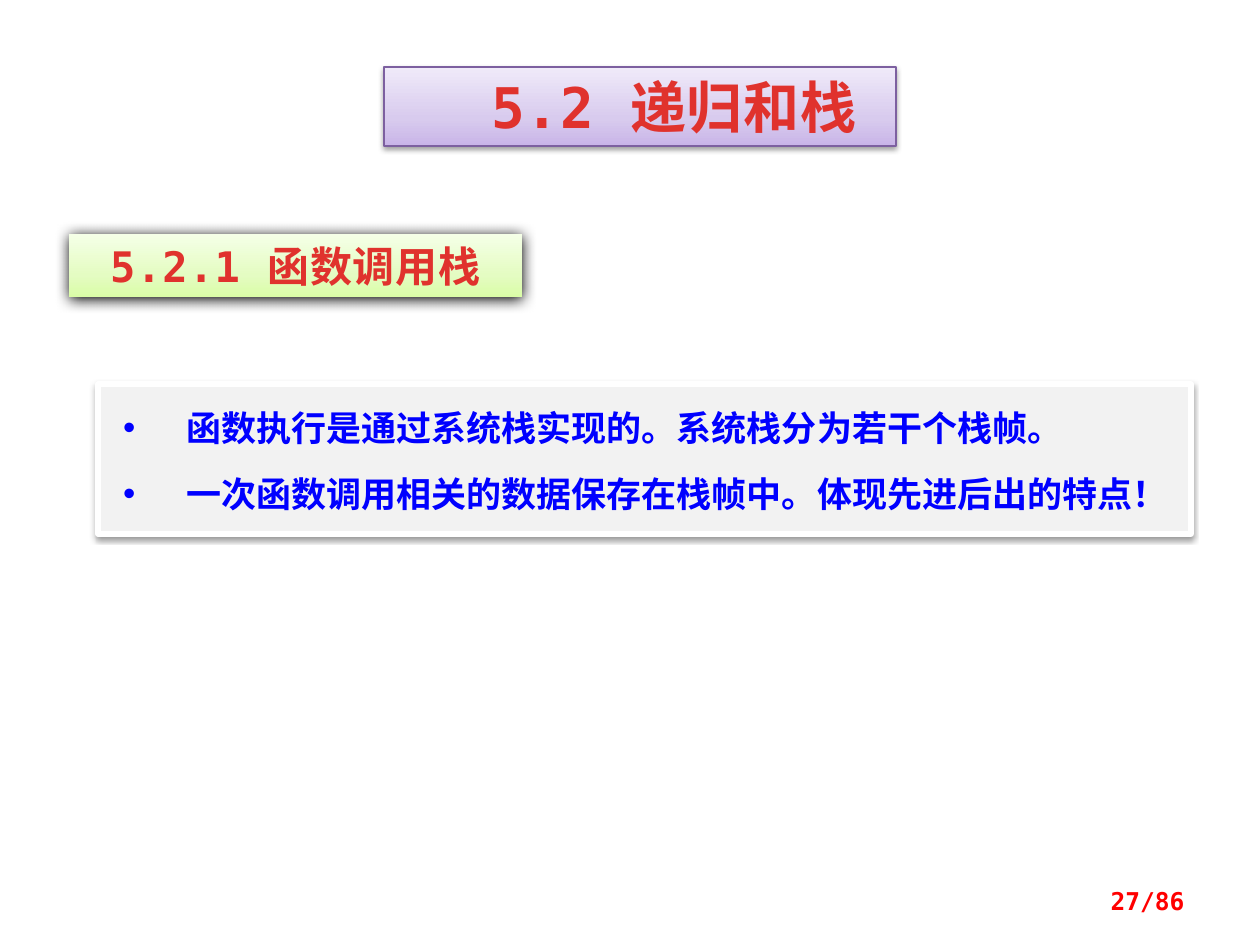
"""Build the slide on recursion and the function call stack."""
from lxml import etree
from pptx import Presentation
from pptx import util as u
from pptx.dml.color import RGBColor
from pptx.enum import shapes, text
from pptx.oxml.ns import qn

PX = u.Inches(1) // 126
COLORS = {
    "heading": "E0322D", "body": "0000FF", "page": "FF0000",
    "panel": "F2F2F2", "panel_edge": "FFFFFF", "title_edge": "7D60A0",
    "shadow": "000000",
}
LILAC = [(0, "C9B5E8"), (35, "D8CBEE"), (100, "F0EAF9")]
LIME = [(0, "DAFDA7"), (35, "E4FCC2"), (100, "F5FFE7")]
SOFT_SHADOW = (38, 3.1, 1.6)
STRONG_SHADOW = (100, 8.5, 1)


class SlideBuilder:
    """Holds the font and the current slide."""

    def __init__(self, slide, font="DejaVu Sans Mono"):
        self.slide = slide
        self.font = font

    def place(self, shape, left, top, width, height):
        shape.left, shape.top = left * PX, top * PX
        shape.width, shape.height = width * PX, height * PX

    def style(self, paragraph, size, color, spacing=0):
        font = paragraph.font
        font.name, font.size, font.bold = self.font, u.Pt(size), True
        font.color.rgb = RGBColor.from_string(COLORS[color])
        if spacing:
            properties = paragraph._p.get_or_add_pPr().find(qn("a:defRPr"))
            properties.set("spc", str(int(spacing * 100)))

    def gradient(self, shape, stops):
        shape.fill.gradient()
        shape.fill.gradient_angle = 90
        stop_list = shape._element.spPr.find(".//" + qn("a:gsLst"))
        stop_list[:] = []
        for position, color in stops:
            stop = etree.SubElement(stop_list, qn("a:gs"), pos=str(position * 1000))
            etree.SubElement(stop, qn("a:srgbClr"), val=color)

    def outline(self, shape, color, width):
        shape.line.color.rgb = RGBColor.from_string(COLORS[color])
        shape.line.width = u.Pt(width)

    def shadow(self, shape, alpha, blur, distance):
        shape.shadow.inherit = False
        effects = shape._element.spPr.find(qn("a:effectLst"))
        outer = etree.SubElement(
            effects, qn("a:outerShdw"), blurRad=str(u.Pt(blur)),
            dist=str(u.Pt(distance)), dir="5400000", rotWithShape="0")
        color = etree.SubElement(outer, qn("a:srgbClr"), val=COLORS["shadow"])
        etree.SubElement(color, qn("a:alpha"), val=str(alpha * 1000))

    def banner(self, shape, box, words, size, stops, shadow):
        self.place(shape, *box)
        self.gradient(shape, stops)
        self.shadow(shape, *shadow)
        frame = shape.text_frame
        frame.text = words
        frame.auto_size = text.MSO_AUTO_SIZE.NONE
        frame.vertical_anchor = text.MSO_ANCHOR.MIDDLE
        paragraph = frame.paragraphs[0]
        paragraph.alignment = text.PP_ALIGN.CENTER
        self.style(paragraph, size, "heading", 0.5)

    def title(self, box, words):
        title = self.slide.shapes.title
        self.banner(title, box, words, 32, LILAC, SOFT_SHADOW)
        self.outline(title, "title_edge", 0.75)
        title.text_frame.margin_left = 81 * PX

    def heading(self, box, words):
        heading = self.slide.shapes.add_shape(shapes.MSO_SHAPE.RECTANGLE, 0, 0, 0, 0)
        self.banner(heading, box, words, 24, LIME, STRONG_SHADOW)
        heading.line.fill.background()

    def bullets(self, box, points):
        panel = self.slide.placeholders[1]
        self.place(panel, *box)
        panel.fill.solid()
        panel.fill.fore_color.rgb = RGBColor.from_string(COLORS["panel"])
        self.outline(panel, "panel_edge", 3)
        self.shadow(panel, *SOFT_SHADOW)
        frame = panel.text_frame
        frame.text = "\n".join(points)
        frame.auto_size = text.MSO_AUTO_SIZE.NONE
        frame.margin_left = 25 * PX
        frame.margin_top = frame.margin_bottom = 15 * PX
        for index, paragraph in enumerate(frame.paragraphs):
            paragraph.line_spacing = u.Pt(28)
            paragraph.space_before = u.Pt(10 if index else 0)
            properties = paragraph._p.get_or_add_pPr()
            properties.set("marL", str(63 * PX))
            properties.set("indent", str(-63 * PX))
            etree.SubElement(properties, qn("a:buChar"), char="•")
            self.style(paragraph, 20, "body")

    def page_number(self, box, words):
        number = self.slide.shapes.add_textbox(0, 0, 0, 0)
        self.place(number, *box)
        frame = number.text_frame
        frame.word_wrap = True
        frame.text = words
        frame.vertical_anchor = text.MSO_ANCHOR.MIDDLE
        paragraph = frame.paragraphs[0]
        paragraph.alignment = text.PP_ALIGN.RIGHT
        self.style(paragraph, 14, "page")


def main():
    deck = Presentation()
    deck.slide_width, deck.slide_height = u.Inches(10), u.Inches(7.5)
    builder = SlideBuilder(deck.slides.add_slide(deck.slide_layouts[1]))
    builder.title((384, 67, 512, 79), "5.2 递归和栈")
    builder.heading((69, 234, 453, 63), "5.2.1 函数调用栈")
    builder.bullets((98, 384, 1093, 150), [
        "函数执行是通过系统栈实现的。系统栈分为若干个栈帧。",
        "一次函数调用相关的数据保存在栈帧中。体现先进后出的特点！",
    ])
    builder.page_number((903, 876, 294, 50), "27/86")
    deck.save("out.pptx")


if __name__ == "__main__":
    main()
